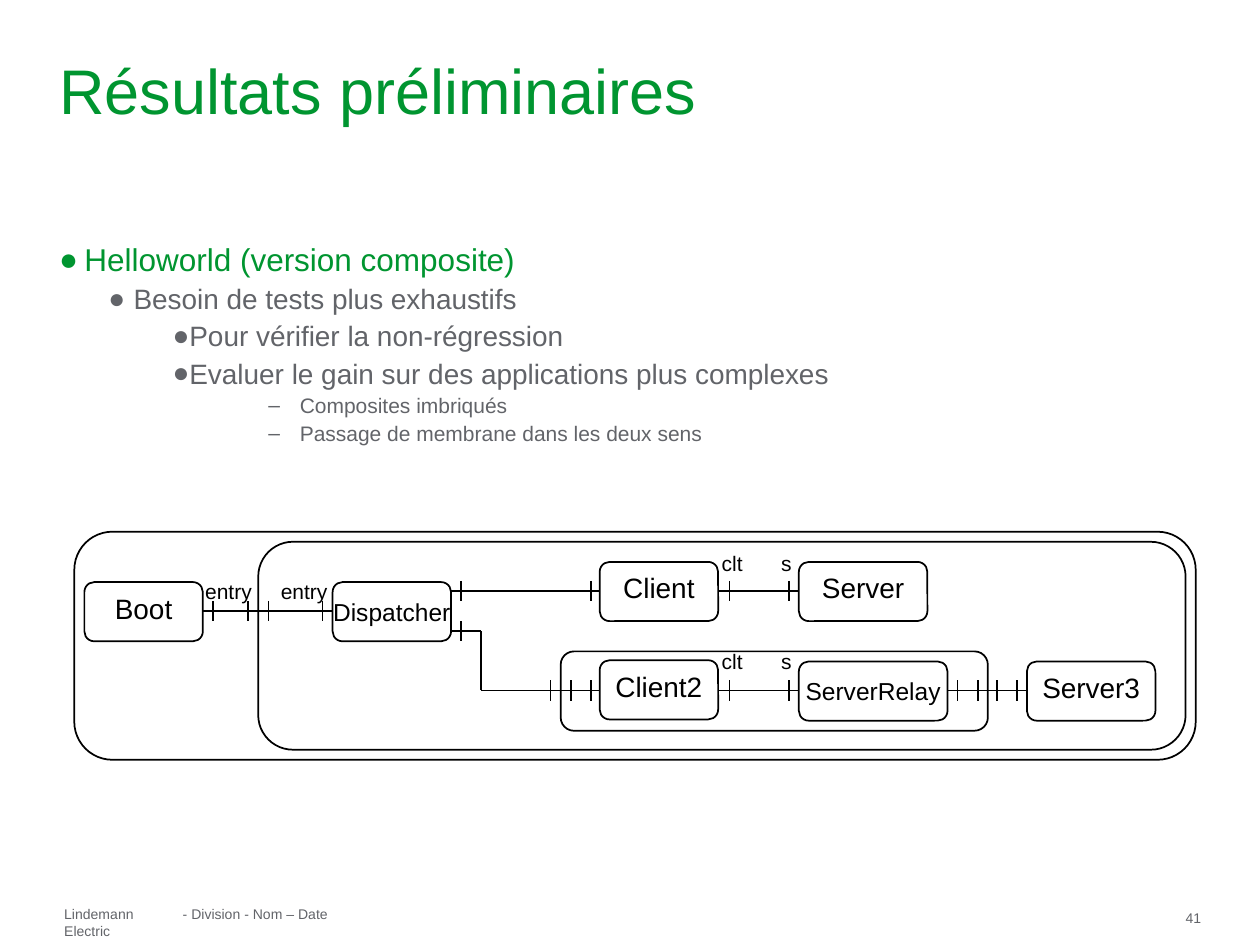
"""Build the slide on preliminary results with its component diagram."""
from dataclasses import dataclass

from lxml import etree
from pptx import Presentation
from pptx.dml.color import RGBColor
from pptx.enum import shapes, text
from pptx.oxml import ns
from pptx.util import Inches, Pt


@dataclass(frozen=True)
class Theme:
    font: str = "Arial"
    green: str = "009530"
    grey: str = "626469"
    black: str = "000000"
    title: int = 36
    topic: int = 18
    point: int = 16
    compact: int = 14
    detail: int = 12
    footer: int = 8
    line: int = 1


theme = Theme()


def write(paragraph, words, size, color):
    run = paragraph.add_run()
    run.text = words
    run.font.name = theme.font
    run.font.size = Pt(size)
    run.font.color.rgb = RGBColor.from_string(color)


def frame_of(shape, margins, anchor=text.MSO_ANCHOR.TOP, wrap=True):
    frame = shape.text_frame
    frame.margin_left, frame.margin_top, frame.margin_right, frame.margin_bottom = map(Inches, margins)
    frame.vertical_anchor = anchor
    frame.word_wrap = wrap
    return frame


deck = Presentation()
deck.slide_width, deck.slide_height = Inches(10), Inches(7.5)
slide = deck.slides.add_slide(deck.slide_layouts[6])

footers = [
    ("Lindemann Electric", 0.51, 7.19, 0.94, 0.13, False),
    ("41", 9.41, 7.22, 0.32, 0.08, True),
    ("- Division - Nom – Date", 1.45, 7.19, 1.19, 0.13, False),
]
for words, left, top, width, height, wrap in footers:
    footer = slide.shapes.add_textbox(*map(Inches, (left, top, width, height)))
    footer_frame = frame_of(footer, (0, 0, 0, 0), wrap=wrap)
    if not wrap:
        footer_frame.auto_size = text.MSO_AUTO_SIZE.SHAPE_TO_FIT_TEXT
    write(footer_frame.paragraphs[0], words, theme.footer, theme.grey)

title = slide.shapes.add_textbox(*map(Inches, (0.47, 0.08, 9.06, 1.26)))
title_frame = frame_of(title, (0, 0.01, 0, 0.01), text.MSO_ANCHOR.MIDDLE)
write(title_frame.paragraphs[0], "Résultats préliminaires", theme.title, theme.green)

levels = [
    (0.2, -0.2, 0, "●", theme.topic, theme.green),
    (0.59, -0.2, 4, "●", theme.point, theme.grey),
    (0.99, -0.09, 4, "●", theme.point, theme.grey),
    (1.91, -0.25, 3, "–", theme.detail, theme.grey),
]
outline = [
    (0, "Helloworld (version composite)"),
    (1, "Besoin de tests plus exhaustifs"),
    (2, "Pour vérifier la non-régression"),
    (2, "Evaluer le gain sur des applications plus complexes"),
    (3, "Composites imbriqués"),
    (3, "Passage de membrane dans les deux sens"),
]
body = slide.shapes.add_textbox(*map(Inches, (0.47, 1.94, 9.06, 1.97)))
body_frame = frame_of(body, (0, 0, 0.02, 0.01))
for index, (level, words) in enumerate(outline):
    margin, indent, before, bullet, size, color = levels[level]
    point = body_frame.add_paragraph() if index else body_frame.paragraphs[0]
    point.level = level
    point.line_spacing = 0.9
    point.space_before = Pt(before)
    properties = point._p.get_or_add_pPr()
    properties.set("marL", str(Inches(margin)))
    properties.set("indent", str(Inches(indent)))
    bullet_color = etree.SubElement(properties, ns.qn("a:buClr"))
    etree.SubElement(bullet_color, ns.qn("a:srgbClr"), val=color)
    etree.SubElement(properties, ns.qn("a:buFont"), typeface=theme.font)
    etree.SubElement(properties, ns.qn("a:buChar"), char=bullet)
    write(point, words, size, color)

boxes = [
    ("", 0.59, 4.22, 8.9, 1.81, 0),
    ("", 2.05, 4.3, 7.36, 1.65, 0),
    ("", 4.45, 5.17, 3.39, 0.63, 0),
    ("Boot", 0.67, 4.62, 0.94, 0.47, theme.point),
    ("Dispatcher", 2.64, 4.62, 0.94, 0.47, theme.compact),
    ("Client", 4.76, 4.46, 0.94, 0.47, theme.point),
    ("Server", 6.34, 4.46, 1.02, 0.47, theme.point),
    ("Client2", 4.76, 5.24, 0.94, 0.47, theme.point),
    ("ServerRelay", 6.34, 5.25, 1.18, 0.47, theme.compact),
    ("Server3", 8.15, 5.25, 1.02, 0.47, theme.point),
]
for name, left, top, width, height, size in boxes:
    box = slide.shapes.add_shape(shapes.MSO_SHAPE.ROUNDED_RECTANGLE, *map(Inches, (left, top, width, height)))
    box.adjustments[0] = 0.167
    box.shadow.inherit = False
    box.fill.background()
    box.line.color.rgb = RGBColor.from_string(theme.black)
    box.line.width = Pt(theme.line)
    if name:
        lift = 0.06 if size == theme.point else 0
        label = frame_of(box, (0, 0, 0, lift), text.MSO_ANCHOR.MIDDLE, False).paragraphs[0]
        label.alignment = text.PP_ALIGN.CENTER
        write(label, name, size, theme.black)

membranes = {2.05, 4.45, 7.84}
wires = [
    (4.85, [1.61, 1.69, 1.97, 2.05, 2.13, 2.56, 2.64]),
    (4.69, [3.58, 3.66, 4.69, 4.76]),
    (4.69, [5.71, 5.79, 6.26, 6.34]),
    (5.01, [3.58, 3.66, 3.82]),
    (5.48, [3.82, 4.37, 4.45, 4.53, 4.69, 4.76]),
    (5.48, [5.71, 5.79, 6.26, 6.34]),
    (5.48, [7.52, 7.6, 7.76, 7.84, 7.91, 8.07, 8.15]),
]
strokes = [(3.82, 5.01, 3.82, 5.48)]
for y, stops in wires:
    strokes += [(start, y, end, y) for start, end in zip(stops, stops[1:])]
    strokes += [(x, y - 0.08, x, y + 0.08) for x in stops[1:-1] if x not in membranes]
for stroke in strokes:
    wire = slide.shapes.add_connector(shapes.MSO_CONNECTOR.STRAIGHT, *map(Inches, stroke))
    wire.line.color.rgb = RGBColor.from_string(theme.black)
    wire.line.width = Pt(theme.line)
    etree.SubElement(wire._element.spPr, ns.qn("a:effectLst"))

ports = [
    ("entry", 1.53, 4.54, 0.71),
    ("entry", 2.13, 4.54, 0.71),
    ("clt", 5.63, 4.32, 0.47),
    ("s", 6.1, 4.32, 0.31),
    ("clt", 5.63, 5.1, 0.47),
    ("s", 6.1, 5.1, 0.31),
]
for name, left, top, width in ports:
    port = slide.shapes.add_textbox(*map(Inches, (left, top, width, 0.3)))
    write(frame_of(port, (0.1, 0.05, 0.1, 0.05)).paragraphs[0], name, theme.detail, theme.black)

deck.save("out.pptx")
